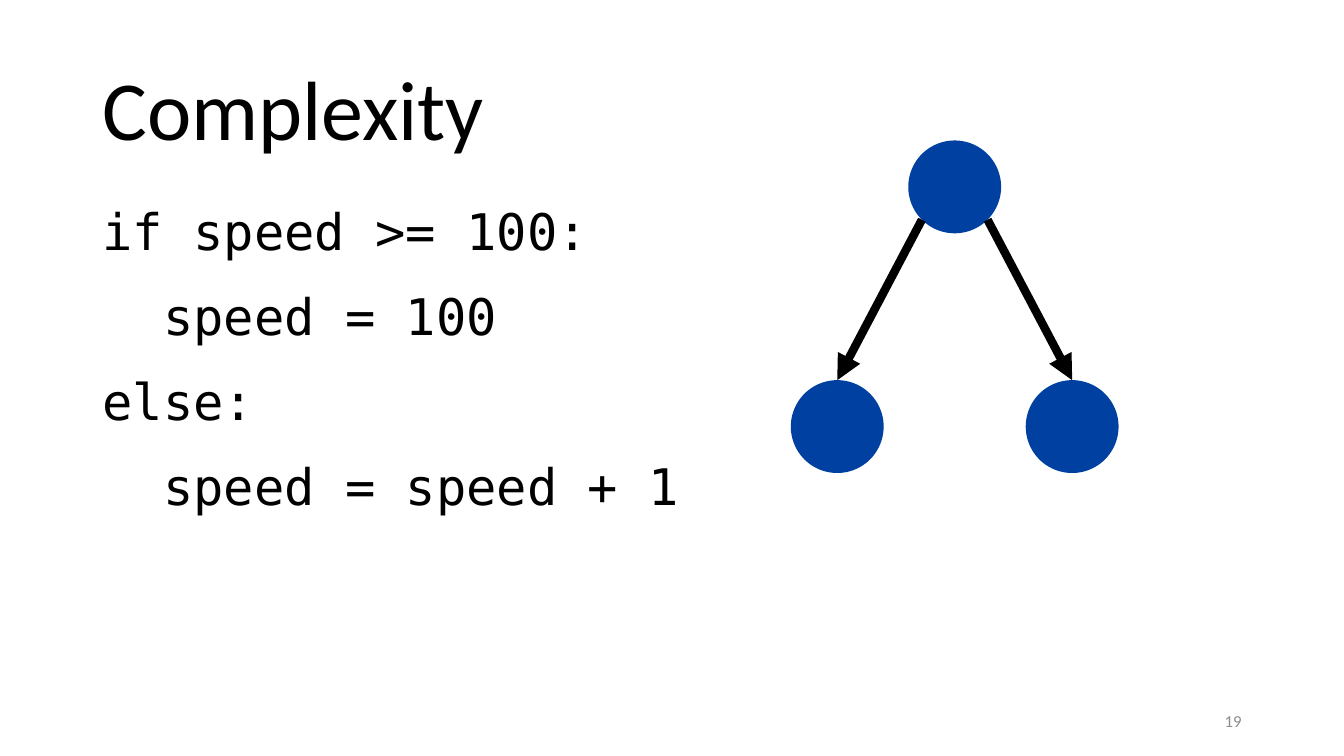
from lxml.etree import SubElement
from pptx import Presentation
from pptx.dml.color import RGBColor
from pptx.enum.shapes import MSO_CONNECTOR, MSO_SHAPE
from pptx.enum.text import MSO_ANCHOR as Anchor, PP_ALIGN as Align
from pptx.oxml.ns import qn
from pptx.util import Cm, Pt

COLORS = {"ink": "000000", "node": "0040A0", "number": "8C8C8C"}

deck = Presentation()
deck.slide_width, deck.slide_height = Cm(33.87), Cm(19.05)
slide = deck.slides.add_slide(deck.slide_layouts[6])


def add_text(text, left, top, width, height, size, font="Calibri", color="ink",
             anchor=Anchor.MIDDLE, align=Align.LEFT, line=1.0, before=0, after=0):
    """Place a text box with one paragraph for each line of text."""
    frame = slide.shapes.add_textbox(Cm(left), Cm(top), Cm(width), Cm(height)).text_frame
    frame.word_wrap = True
    frame.vertical_anchor = anchor
    for i, content in enumerate(text.split("\n")):
        paragraph = frame.add_paragraph() if i else frame.paragraphs[0]
        paragraph.alignment = align
        paragraph.line_spacing = line
        paragraph.space_before = Pt(before if i else 0)
        paragraph.space_after = Pt(after)
        run = paragraph.add_run()
        run.text = content
        run.font.size = Pt(size)
        run.font.name = font
        run.font.color.rgb = RGBColor.from_string(COLORS[color])


add_text("Complexity", 2.33, 1.01, 29.21, 3.68, size=60, line=0.9)

code = """if speed >= 100:
  speed = 100
else:
  speed = speed + 1"""
add_text(code, 2.33, 5.08, 29.21, 12.09, size=36, font="DejaVu Sans Mono",
         anchor=Anchor.TOP, line=0.9, before=10, after=12)

add_text("19", 23.92, 17.66, 7.62, 1.01, size=12, color="number", align=Align.RIGHT)

# Decision tree: a root with one branch on each side
DIAMETER = 2.34
ROOT_X, ROOT_Y = 24.06, 4.71
BRANCH_DX, BRANCH_DY = 2.96, 6.04


def add_node(center_x, center_y):
    node = slide.shapes.add_shape(
        MSO_SHAPE.OVAL, Cm(center_x - DIAMETER / 2), Cm(center_y - DIAMETER / 2),
        Cm(DIAMETER), Cm(DIAMETER))
    node.shadow.inherit = False
    node.fill.solid()
    node.fill.fore_color.rgb = RGBColor.from_string(COLORS["node"])
    node.line.fill.background()
    return node


add_node(ROOT_X, ROOT_Y)
rim_offset = DIAMETER / 2 * 0.5 ** 0.5  # 45 degrees down the root's edge
for side in (-1, 1):
    child_x, child_y = ROOT_X + side * BRANCH_DX, ROOT_Y + BRANCH_DY
    child = add_node(child_x, child_y)
    branch = slide.shapes.add_connector(
        MSO_CONNECTOR.STRAIGHT, Cm(ROOT_X + side * rim_offset), Cm(ROOT_Y + rim_offset),
        Cm(child_x), Cm(child_y - DIAMETER / 2))
    branch.end_connect(child, 0)
    branch.line.width = Pt(6)
    branch.line.color.rgb = RGBColor.from_string(COLORS["ink"])
    SubElement(branch.line._get_or_add_ln(), qn("a:tailEnd"), type="triangle")
    SubElement(branch._element.spPr, qn("a:effectLst"))

deck.save("out.pptx")
